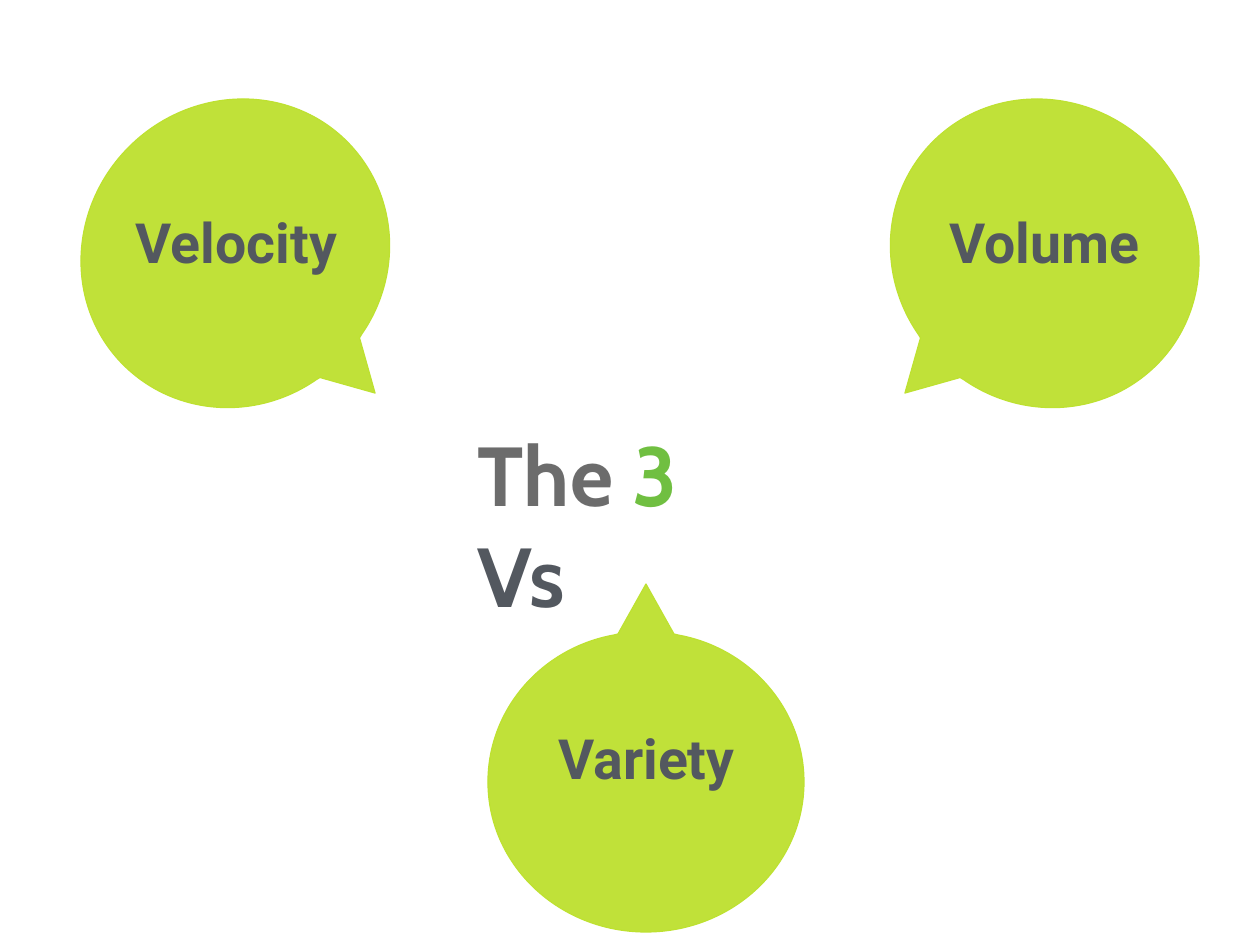
from dataclasses import dataclass

from pptx import Presentation
from pptx.dml.color import RGBColor
from pptx.enum.text import MSO_ANCHOR, MSO_AUTO_SIZE, PP_ALIGN
from pptx.oxml.ns import qn
from pptx.util import Pt

PX = 10321  # EMU per px


@dataclass(frozen=True)
class Theme:
    balloon: str = "C0E139"
    outline: str = "BEE131"
    gray: str = "6C6C6C"
    green: str = "70BF41"
    slate: str = "53585F"
    title_font: str = "Cabin"
    label_font: str = "Roboto"
    title_size: int = 68
    label_size: int = 45


theme = Theme()


def style_span(span, font, size, color):
    span.font.name = font
    span.font.size = Pt(size)
    span.font.bold = True
    span.font.color.rgb = RGBColor.from_string(color)


def set_frame(frame, margin, anchor, wrap, auto_size):
    frame.margin_left = frame.margin_right = margin * PX
    frame.margin_top = frame.margin_bottom = margin * PX
    frame.vertical_anchor = anchor
    frame.word_wrap = wrap
    frame.auto_size = auto_size


deck = Presentation()
deck.slide_width, deck.slide_height = 1260 * PX, 945 * PX
slide = deck.slides.add_slide(deck.slide_layouts[5])

# Title
title = slide.shapes.title
title.left, title.top = 474 * PX, 419 * PX
title.width, title.height = 305 * PX, 106 * PX
set_frame(title.text_frame, 4, MSO_ANCHOR.TOP, True, MSO_AUTO_SIZE.NONE)
para = title.text_frame.paragraphs[0]
para.alignment = PP_ALIGN.LEFT
for words, color in (("The ", theme.gray), ("3 ", theme.green), ("Vs", theme.slate)):
    span = para.add_run()
    span.text = words
    style_span(span, theme.title_font, theme.title_size, color)

# Balloons: right half from the tip to the bottom, then its mirror image.
# After the tip and two shoulder points, every three points make one curve.
BALLOON_WIDTH = 316
right_half = [
    (158, 0), (186, 50), (190, 51),
    (262, 64), (316, 125), (316, 198),
    (316, 281), (245, 348), (158, 348),
]
left_half = [(BALLOON_WIDTH - x, y) for x, y in reversed(right_half[1:-1])]
outline = right_half + left_half
curve_points = slice(2, 14)

# left, top, rotation
for left, top, rotation in ((94, 96, 135), (488, 584, 0), (870, 96, 225)):
    builder = slide.shapes.build_freeform(*outline[0], scale=PX)
    builder.add_line_segments(outline[1:], close=True)
    balloon = builder.convert_to_shape(left * PX, top * PX)
    lines = list(balloon._element.iter(qn("a:lnTo")))[curve_points]
    for first, second, third in zip(lines[::3], lines[1::3], lines[2::3]):
        curve = first.makeelement(qn("a:cubicBezTo"))
        first.addprevious(curve)
        for line in (first, second, third):
            curve.append(line[0])
            line.getparent().remove(line)
    balloon.rotation = rotation
    balloon.shadow.inherit = False
    balloon.fill.solid()
    balloon.fill.fore_color.rgb = RGBColor.from_string(theme.balloon)
    balloon.line.color.rgb = RGBColor.from_string(theme.outline)
    balloon.line.width = Pt(1)

# Labels: text, left, top, width
labels = (("Volume", 941, 203, 207), ("Velocity", 126, 203, 221), ("Variety", 550, 719, 193))
for label, left, top, width in labels:
    box = slide.shapes.add_textbox(left * PX, top * PX, width * PX, 76 * PX)
    set_frame(box.text_frame, 5, MSO_ANCHOR.MIDDLE, False, MSO_AUTO_SIZE.SHAPE_TO_FIT_TEXT)
    para = box.text_frame.paragraphs[0]
    para.text = label
    para.alignment = PP_ALIGN.CENTER
    style_span(para.runs[0], theme.label_font, theme.label_size, theme.slate)

deck.save("out.pptx")
